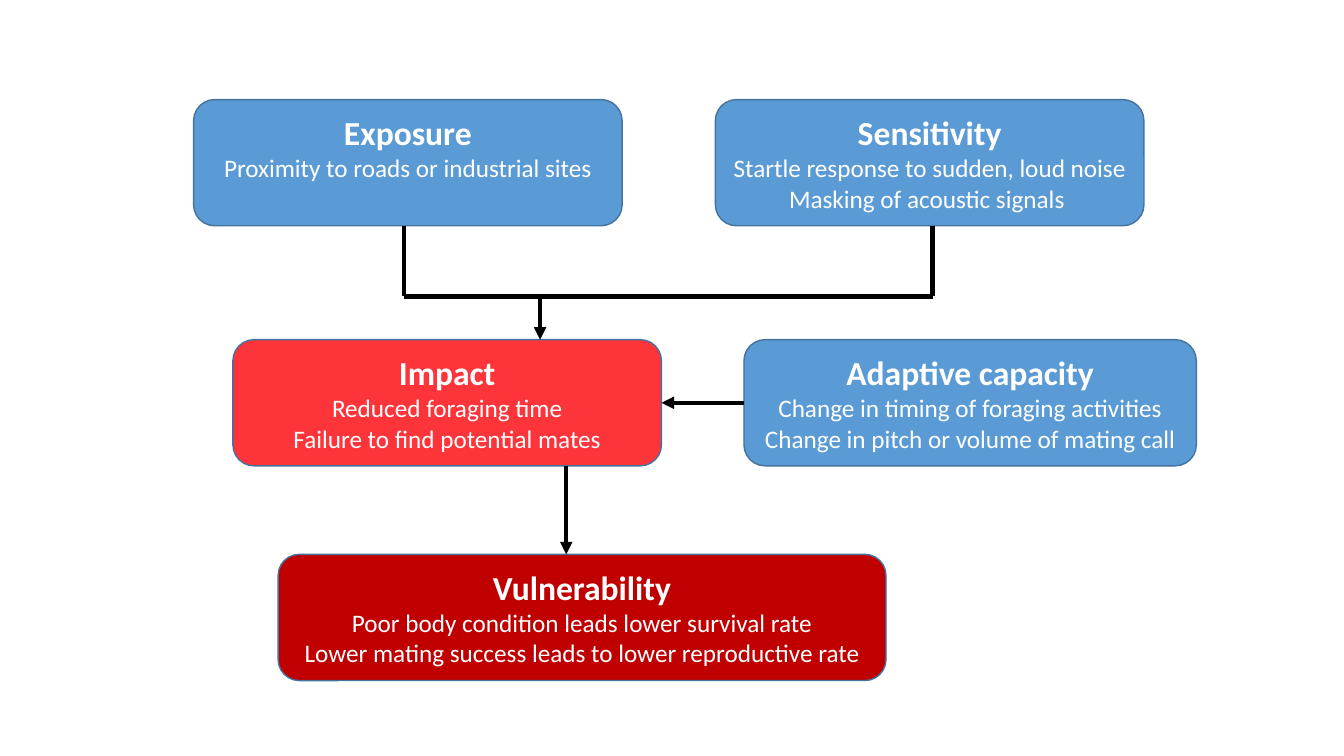
from dataclasses import dataclass

from lxml.etree import SubElement
from pptx import Presentation
from pptx.dml.color import RGBColor
from pptx.enum.shapes import MSO_CONNECTOR, MSO_SHAPE
from pptx.enum.text import MSO_ANCHOR, PP_ALIGN
from pptx.oxml.ns import qn
from pptx.util import Cm, Pt


@dataclass(frozen=True)
class Theme:
    font: str = "Calibri"
    heading_size: int = 24
    detail_size: int = 18
    text: str = "FFFFFF"
    driver: str = "5B9BD5"
    impact: str = "FD353A"
    vulnerability: str = "C00000"
    outline: str = "43739E"
    arrow: str = "000000"
    outline_width: int = 1
    arrow_width: int = 3


@dataclass(frozen=True)
class Box:
    left: float
    top: float
    width: float
    height: float = 3.18

    @property
    def right(self):
        return self.left + self.width

    @property
    def bottom(self):
        return self.top + self.height

    @property
    def middle(self):
        return self.top + self.height / 2


THEME = Theme()
DETAIL_LINES = 2
DETAIL_LINE_HEIGHT = 0.77
INSET = 0.13


def set_format(target, values):
    for name, value in values.items():
        setattr(target, name, value)


def add_card(slide, box, fill, heading, details):
    """Rounded card with a bold heading above its detail lines."""
    shape = slide.shapes.add_shape(
        MSO_SHAPE.ROUNDED_RECTANGLE,
        Cm(box.left), Cm(box.top), Cm(box.width), Cm(box.height))
    shape.shadow.inherit = False
    shape.fill.solid()
    shape.fill.fore_color.rgb = RGBColor.from_string(fill)
    shape.line.color.rgb = RGBColor.from_string(THEME.outline)
    shape.line.width = Pt(THEME.outline_width)

    # A card with fewer details keeps its heading level with the others
    missing = DETAIL_LINES - len(details)
    frame = shape.text_frame
    set_format(frame, {
        "word_wrap": True,
        "vertical_anchor": MSO_ANCHOR.MIDDLE,
        "margin_top": Cm(INSET),
        "margin_bottom": Cm(INSET + missing * DETAIL_LINE_HEIGHT),
    })
    for index, text in enumerate([heading, *details]):
        paragraph = frame.add_paragraph() if index else frame.paragraphs[0]
        paragraph.alignment = PP_ALIGN.CENTER
        run = paragraph.add_run()
        run.text = text
        size = THEME.detail_size if index else THEME.heading_size
        set_format(run.font, {
            "name": THEME.font, "size": Pt(size), "bold": index == 0})
        run.font.color.rgb = RGBColor.from_string(THEME.text)


def add_line(slide, start, end, arrow=False):
    """Straight black line, with an arrowhead at its end if asked for."""
    connector = slide.shapes.add_connector(
        MSO_CONNECTOR.STRAIGHT, *(Cm(value) for value in (*start, *end)))
    connector.line.color.rgb = RGBColor.from_string(THEME.arrow)
    connector.line.width = Pt(THEME.arrow_width)
    if arrow:
        SubElement(connector.line._get_or_add_ln(), qn("a:tailEnd"),
                   type="triangle")
    SubElement(connector._element.spPr, qn("a:effectLst"))


def add_merge(slide, sources, target, source_xs, target_x, level):
    """Bracket that joins the sources and points down to the target."""
    add_line(slide, (source_xs[0], level), (source_xs[1], level))
    for source, x in zip(sources, source_xs):
        add_line(slide, (x, level), (x, source.bottom))
    add_line(slide, (target_x, level), (target_x, target.top), arrow=True)


def add_vulnerability_diagram(slide):
    exposure = Box(4.88, 2.51, 10.8)
    sensitivity = Box(18.03, exposure.top, exposure.width)
    impact = Box(5.87, 8.56, exposure.width)
    capacity = Box(18.75, impact.top, 11.4)
    vulnerability = Box(7.01, 13.97, 15.32)

    # Cards
    cards = [
        (exposure, THEME.driver, "Exposure",
         ["Proximity to roads or industrial sites"]),
        (sensitivity, THEME.driver, "Sensitivity",
         ["Startle response to sudden, loud noise",
          "Masking of acoustic signals "]),
        (impact, THEME.impact, "Impact",
         ["Reduced foraging time", "Failure to find potential mates"]),
        (capacity, THEME.driver, "Adaptive capacity",
         ["Change in timing of foraging activities",
          "Change in pitch or volume of mating call"]),
        (vulnerability, THEME.vulnerability, "Vulnerability",
         ["Poor body condition leads lower survival rate",
          "Lower mating success leads to lower reproductive rate"]),
    ]
    for card in cards:
        add_card(slide, *card)

    # Links between the cards
    add_merge(slide, (exposure, sensitivity), impact,
              source_xs=(10.19, 23.5), target_x=13.61, level=7.47)
    outcome_x = 14.27
    add_line(slide, (outcome_x, impact.bottom),
             (outcome_x, vulnerability.top), arrow=True)
    add_line(slide, (capacity.left, capacity.middle),
             (impact.right, impact.middle), arrow=True)


def main():
    presentation = Presentation()
    set_format(presentation, {
        "slide_width": Cm(33.87), "slide_height": Cm(19.05)})
    slide = presentation.slides.add_slide(presentation.slide_layouts[6])
    add_vulnerability_diagram(slide)
    presentation.save("out.pptx")


if __name__ == "__main__":
    main()
